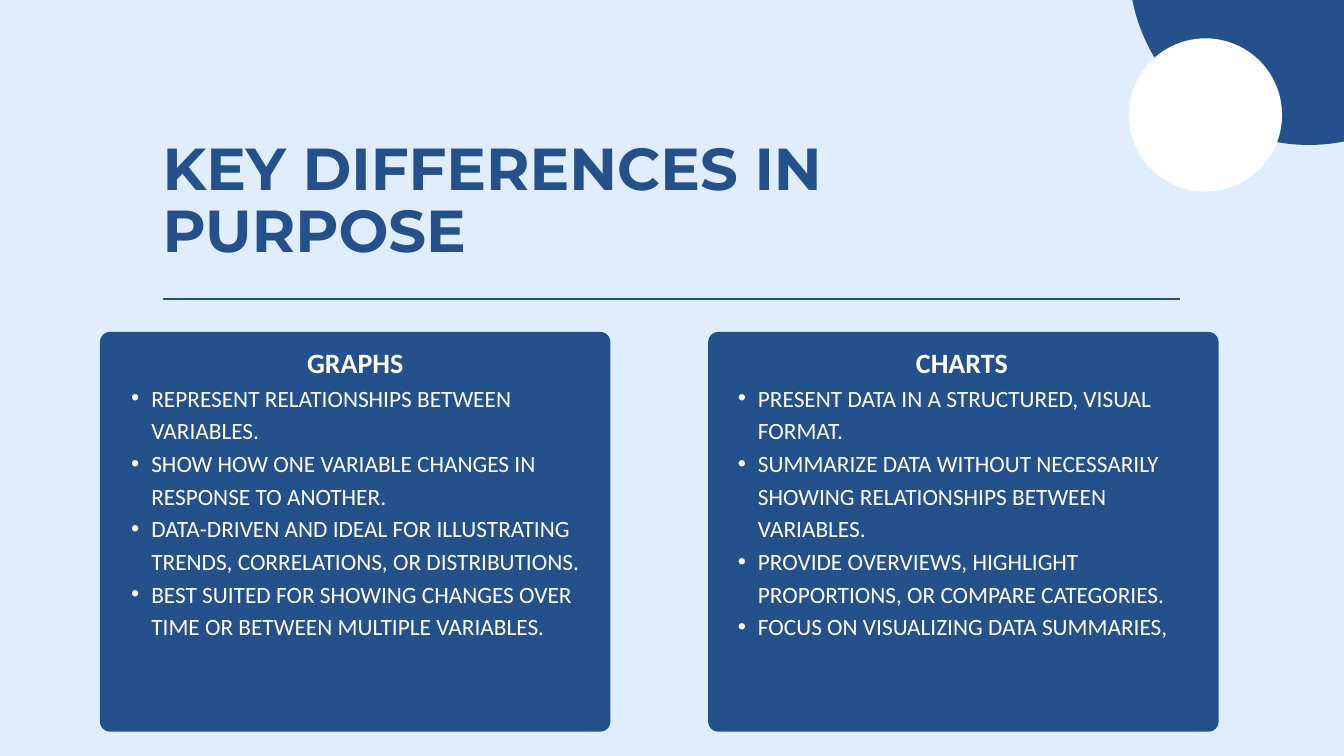
from lxml.etree import SubElement
from pptx import Presentation
from pptx.dml.color import RGBColor
from pptx.enum.shapes import MSO_CONNECTOR, MSO_SHAPE
from pptx.enum.text import PP_ALIGN
from pptx.oxml.ns import qn
from pptx.util import Cm, Pt

COLORS = {"background": "DFEDFF", "navy": "24508C", "white": "FFFFFF"}

TITLE = {"name": "Montserrat", "size": Pt(63.4), "bold": True}
HEADING = {"name": "Calibri", "size": Pt(30), "bold": True}
BODY = {"name": "Calibri", "size": Pt(25), "bold": False}

CARD_TOP, CARD_WIDTH, CARD_HEIGHT = 12.55, 19.29, 15.11
CARD_RADIUS = 0.38

# Card left, text left, heading, points
CARDS = [
    (3.78, 4.22, "GRAPHS", [
        "REPRESENT RELATIONSHIPS BETWEEN VARIABLES.",
        "SHOW HOW ONE VARIABLE CHANGES IN RESPONSE TO ANOTHER.",
        "DATA-DRIVEN AND IDEAL FOR ILLUSTRATING TRENDS, CORRELATIONS, OR DISTRIBUTIONS.",
        "BEST SUITED FOR SHOWING CHANGES OVER TIME OR BETWEEN MULTIPLE VARIABLES.",
    ]),
    (26.77, 27.15, "CHARTS", [
        "PRESENT DATA IN A STRUCTURED, VISUAL FORMAT.",
        "SUMMARIZE DATA WITHOUT NECESSARILY SHOWING RELATIONSHIPS BETWEEN VARIABLES.",
        "PROVIDE OVERVIEWS, HIGHLIGHT PROPORTIONS, OR COMPARE CATEGORIES.",
        "FOCUS ON VISUALIZING DATA SUMMARIES,",
    ]),
]


def color(name):
    return RGBColor.from_string(COLORS[name])


def add_filled_shape(slide, kind, left, top, width, height, fill):
    shape = slide.shapes.add_shape(kind, Cm(left), Cm(top), Cm(width), Cm(height))
    shape.shadow.inherit = False
    shape.fill.solid()
    shape.fill.fore_color.rgb = color(fill)
    shape.line.fill.background()
    return shape


def add_text_frame(slide, left, top, width, height):
    box = slide.shapes.add_textbox(Cm(left), Cm(top), Cm(width), Cm(height))
    frame = box.text_frame
    frame.word_wrap = True
    for side in ("left", "top", "right", "bottom"):
        setattr(frame, f"margin_{side}", 0)
    return frame


def write_paragraph(paragraph, text, font_format, fill, spacing):
    paragraph.line_spacing = Pt(spacing)
    run = paragraph.add_run()
    run.text = text
    for attribute, value in font_format.items():
        setattr(run.font, attribute, value)
    run.font.color.rgb = color(fill)


def add_bullet(paragraph):
    paragraph.level = 1
    properties = paragraph._p.get_or_add_pPr()
    properties.set("marL", str(Cm(1.5)))
    properties.set("indent", str(Cm(-0.76)))
    SubElement(properties, qn("a:buFont"), typeface="Arial")
    SubElement(properties, qn("a:buChar"), char="•")


def add_rule(slide, left, right, top):
    line = slide.shapes.add_connector(
        MSO_CONNECTOR.STRAIGHT, Cm(left), Cm(top), Cm(right), Cm(top))
    line.line.color.rgb = color("navy")
    line.line.width = Pt(3)
    SubElement(line._element.spPr, qn("a:effectLst"))


def add_card(slide, left, text_left, heading, points):
    card = add_filled_shape(slide, MSO_SHAPE.ROUNDED_RECTANGLE, left, CARD_TOP,
                            CARD_WIDTH, CARD_HEIGHT, "navy")
    card.adjustments[0] = CARD_RADIUS / CARD_HEIGHT

    frame = add_text_frame(slide, text_left, 12.85, 18.42, 13.59)
    paragraph = frame.paragraphs[0]
    paragraph.alignment = PP_ALIGN.CENTER
    write_paragraph(paragraph, heading, HEADING, "white", 42)
    for point in points:
        paragraph = frame.add_paragraph()
        write_paragraph(paragraph, point, BODY, "white", 35)
        add_bullet(paragraph)


def main():
    presentation = Presentation()
    presentation.slide_width, presentation.slide_height = Cm(50.8), Cm(28.58)
    slide = presentation.slides.add_slide(presentation.slide_layouts[6])
    slide.background.fill.solid()
    slide.background.fill.fore_color.rgb = color("background")

    # Corner circles
    add_filled_shape(slide, MSO_SHAPE.OVAL, 42.67, -8.13, 13.61, 13.61, "navy")
    add_filled_shape(slide, MSO_SHAPE.OVAL, 42.67, 1.45, 5.79, 5.79, "white")

    # Title and rule
    title = add_text_frame(slide, 6.15, 5.31, 36.53, 4.75)
    write_paragraph(title.paragraphs[0], "KEY DIFFERENCES IN PURPOSE",
                    TITLE, "navy", 66.6)
    add_rule(slide, 6.15, 44.6, 11.3)

    # Comparison cards
    for card in CARDS:
        add_card(slide, *card)

    presentation.save("out.pptx")


if __name__ == "__main__":
    main()
